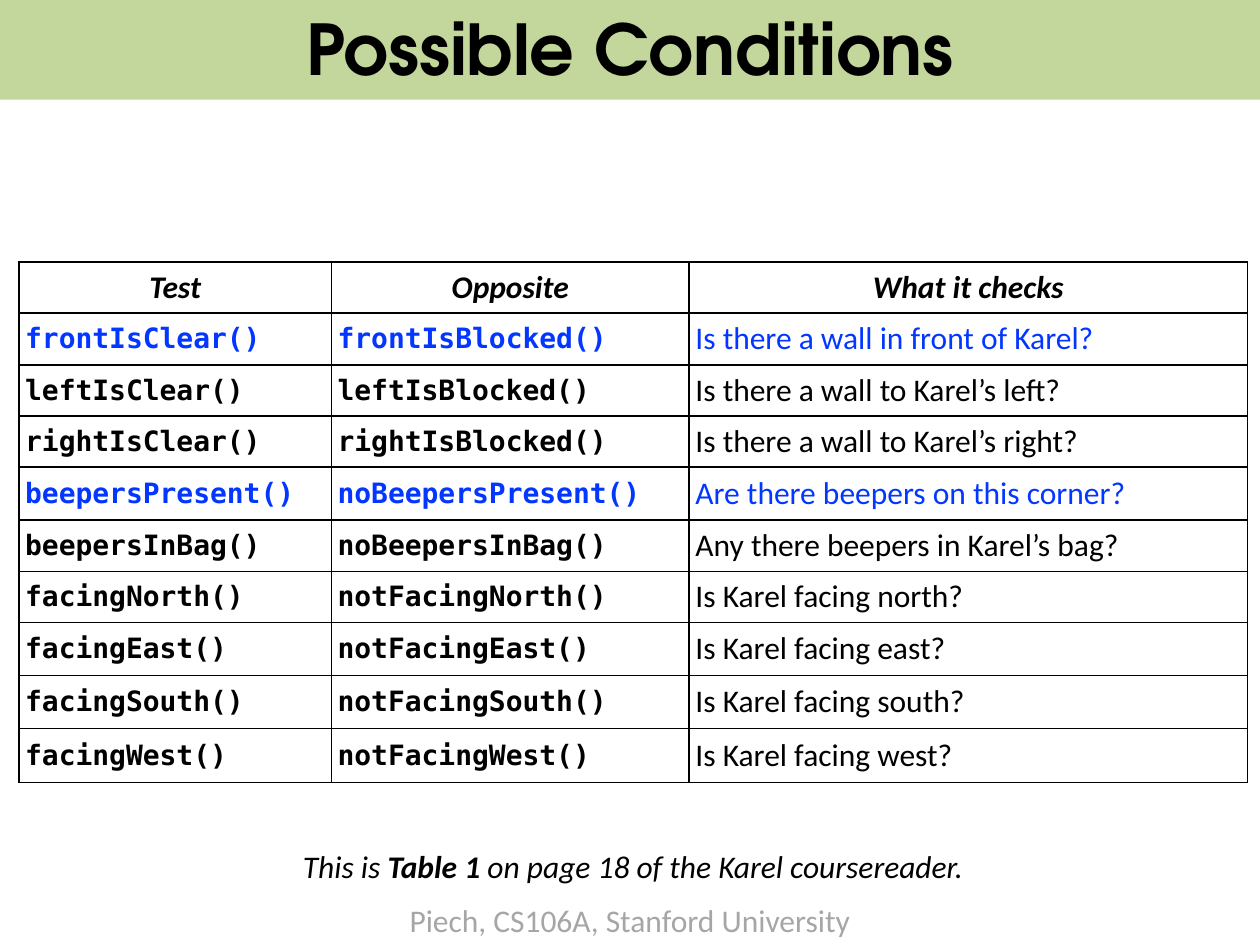
from lxml import etree
from pptx import Presentation
from pptx.dml.color import RGBColor
from pptx.enum.text import MSO_ANCHOR, PP_ALIGN
from pptx.oxml.ns import qn
from pptx.util import Inches, Pt

LEFT, CENTER = PP_ALIGN.LEFT, PP_ALIGN.CENTER
MIDDLE, BOTTOM = MSO_ANCHOR.MIDDLE, MSO_ANCHOR.BOTTOM
BODY_FONT, CODE_FONT, TITLE_FONT = "Calibri", "DejaVu Sans Mono", "TeX Gyre Adventor"
BLACK, BLUE, GRAY, GREEN = "000000", "0336FF", "A6A6A6", "C3D69B"

COLUMN_WIDTHS = [2.48, 2.84, 4.43]
ROW_HEIGHTS = [0.4, 0.41, 0.39, 0.39, 0.42, 0.41, 0.4, 0.42, 0.42, 0.43]
HEADINGS = ("Test", "Opposite", "What it checks")
CONDITIONS = [
    ("frontIsClear()", "frontIsBlocked()", "Is there a wall in front of Karel?"),
    ("leftIsClear()", "leftIsBlocked()", "Is there a wall to Karel’s left?"),
    ("rightIsClear()", "rightIsBlocked()", "Is there a wall to Karel’s right?"),
    ("beepersPresent()", "noBeepersPresent()", "Are there beepers on this corner?"),
    ("beepersInBag()", "noBeepersInBag()", "Any there beepers in Karel’s bag?"),
    ("facingNorth()", "notFacingNorth()", "Is Karel facing north?"),
    ("facingEast()", "notFacingEast()", "Is Karel facing east?"),
    ("facingSouth()", "notFacingSouth()", "Is Karel facing south?"),
    ("facingWest()", "notFacingWest()", "Is Karel facing west?"),
]
HIGHLIGHTED = {"frontIsClear()", "beepersPresent()"}


def rgb(color):
    return RGBColor.from_string(color)


def format_font(font, name, size, color, bold=False, italic=False):
    font.name = name
    font.size = Pt(size)
    font.color.rgb = rgb(color)
    font.bold = bold
    font.italic = italic


def place(shape, left, top, width, height):
    shape.left, shape.top = Inches(left), Inches(top)
    shape.width, shape.height = Inches(width), Inches(height)


def add_title(slide, text):
    title = slide.shapes.title
    place(title, 0, -0.03, 10, 0.82)
    title.fill.solid()
    title.fill.fore_color.rgb = rgb(GREEN)
    title.text_frame.text = text
    title.text_frame.vertical_anchor = MIDDLE
    paragraph = title.text_frame.paragraphs[0]
    paragraph.alignment = CENTER
    format_font(paragraph.font, TITLE_FONT, 40, BLACK, bold=True)


def add_text(slide, box, runs, color, italic=False, wrap=True):
    shape = slide.shapes.add_textbox(*map(Inches, box))
    shape.text_frame.word_wrap = wrap
    paragraph = shape.text_frame.paragraphs[0]
    paragraph.alignment = CENTER
    for text, bold in runs:
        run = paragraph.add_run()
        run.text = text
        format_font(run.font, BODY_FONT, 18, color, bold, italic)


def add_borders(cell):
    properties = cell._tc.get_or_add_tcPr()
    for position, side in enumerate(("lnL", "lnR", "lnT", "lnB")):
        line = etree.Element(qn(f"a:{side}"), w=str(Pt(1)))
        fill = etree.SubElement(line, qn("a:solidFill"))
        etree.SubElement(fill, qn("a:srgbClr"), val=BLACK)
        properties.insert(position, line)


def fill_cell(cell, text, alignment, anchor, **font_format):
    cell.fill.background()
    add_borders(cell)
    cell.margin_left = cell.margin_right = Inches(0.05)
    cell.margin_top = cell.margin_bottom = Inches(0.05)
    cell.vertical_anchor = anchor
    cell.text = text
    paragraph = cell.text_frame.paragraphs[0]
    paragraph.alignment = alignment
    format_font(paragraph.font, **font_format)


def add_conditions_table(slide):
    size = (sum(COLUMN_WIDTHS), sum(ROW_HEIGHTS))
    table = slide.shapes.add_table(
        len(ROW_HEIGHTS), len(COLUMN_WIDTHS), *map(Inches, (0.15, 2.08, *size))
    ).table
    table.horz_banding = False
    for column, width in zip(table.columns, COLUMN_WIDTHS):
        column.width = Inches(width)
    for row, height in zip(table.rows, ROW_HEIGHTS):
        row.height = Inches(height)

    for column, heading in enumerate(HEADINGS):
        fill_cell(table.cell(0, column), heading, CENTER, BOTTOM,
                  name=BODY_FONT, size=18, color=BLACK, bold=True, italic=True)
    for row, condition in enumerate(CONDITIONS, start=1):
        color = BLUE if condition[0] in HIGHLIGHTED else BLACK
        for column, text in enumerate(condition):
            is_code = column < 2
            fill_cell(table.cell(row, column), text, LEFT, MIDDLE,
                      name=CODE_FONT if is_code else BODY_FONT,
                      size=16 if is_code else 18, color=color, bold=is_code)


def main():
    presentation = Presentation()
    presentation.slide_width = Inches(10)
    presentation.slide_height = Inches(7.5)
    slide = presentation.slides.add_slide(presentation.slide_layouts[5])
    add_title(slide, "Possible Conditions")
    add_conditions_table(slide)
    add_text(slide, (0.44, 6.67, 9.17, 0.4),
             [("This is ", False), ("Table 1", True),
              (" on page 18 of the Karel coursereader.", False)],
             BLACK, italic=True)
    add_text(slide, (3.13, 7.1, 3.74, 0.4),
             [("Piech, CS106A, Stanford University", False)], GRAY, wrap=False)
    presentation.save("out.pptx")


if __name__ == "__main__":
    main()
